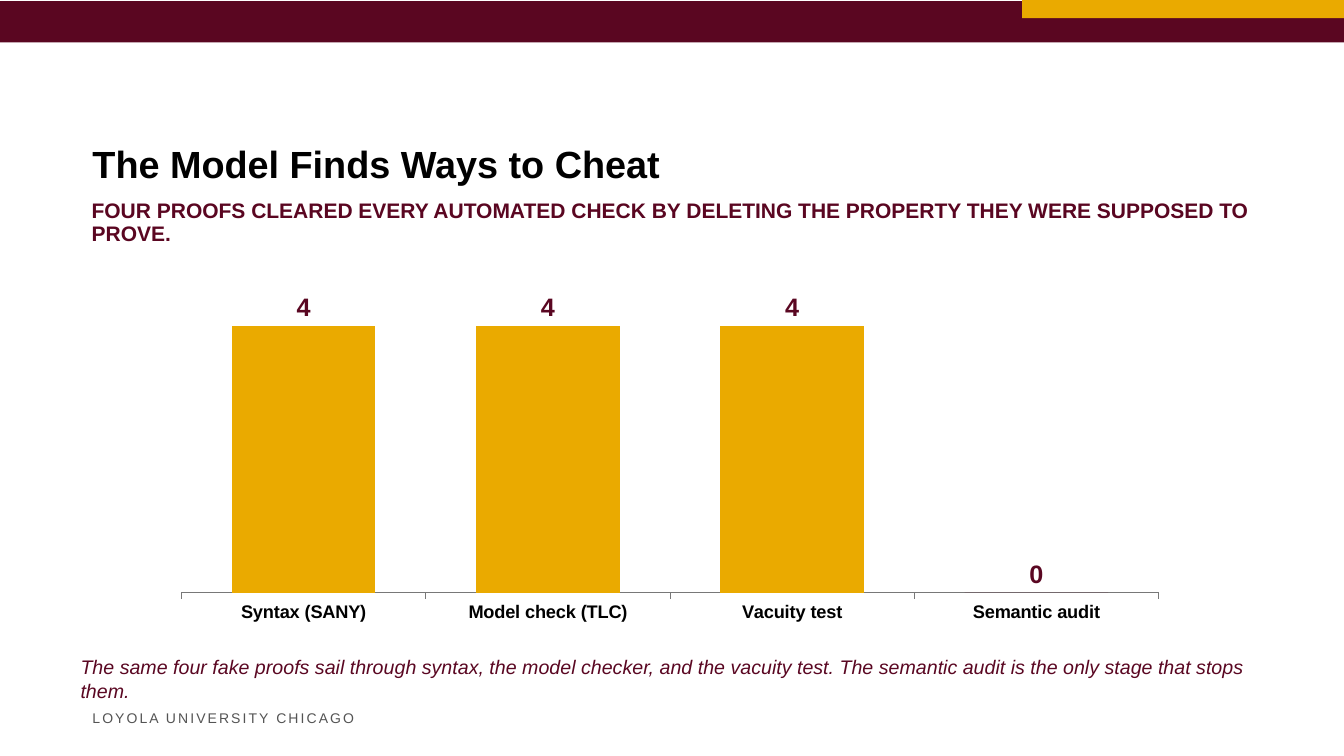
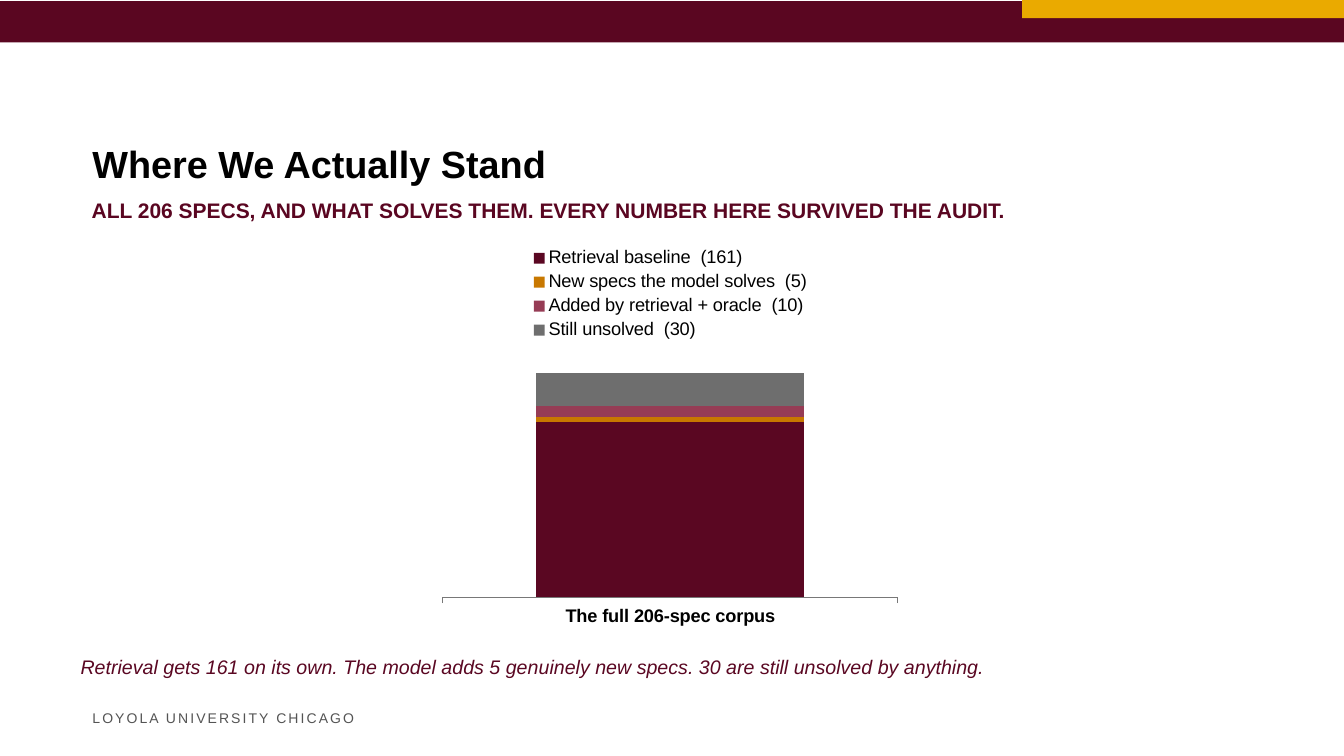
from pptx import Presentation
from pptx.chart.data import CategoryChartData
from pptx.dml.color import RGBColor
from pptx.enum.chart import (XL_CHART_TYPE, XL_LABEL_POSITION,
                             XL_LEGEND_POSITION, XL_TICK_MARK)
from pptx.enum.shapes import MSO_SHAPE
from pptx.enum.text import MSO_ANCHOR, MSO_AUTO_SIZE, PP_ALIGN
from pptx.util import Cm, Pt

FONT = "Arial"
COLORS = {
    "maroon": "5A0621",
    "wine": "5A0722",
    "gold": "EAAA00",
    "amber": "C87800",
    "rose": "963C55",
    "gray": "6E6E6E",
    "axis": "787878",
    "footer": "545454",
    "black": "000000",
}
SLIDE_WIDTH, SLIDE_HEIGHT = 33.87, 19.05

# Boxes are left, top, width, height in centimetres.
BAND_BOX = (0, 0.03, SLIDE_WIDTH, 1.04)
ACCENT_BOX = (25.76, 0, 8.11, 0.46)
TITLE_BOX = (2.33, 1.04, 29.33, 3.66)
SUBTITLE_BOX = (2.31, 5.05, 29.33, 0.61)
CAPTION_BOX = (1.78, 16.38, 30.23, 1.78)
FOOTER_BOX = (2.33, 17.93, 6.73, 0.38)
CHEAT_CHART_BOX = (4.06, 6.35, 25.65, 9.53)
CORPUS_CHART_BOX = (10.92, 5.97, 11.94, 10.03)


def rgb(color):
    return RGBColor.from_string(COLORS[color])


def to_cm(box):
    return [Cm(length) for length in box]


def style_font(font, size, color="black", bold=False, italic=False):
    font.name = FONT
    font.size = Pt(size)
    font.color.rgb = rgb(color)
    font.bold = bold
    font.italic = italic


def fill_solid(fill, color):
    fill.solid()
    fill.fore_color.rgb = rgb(color)


def write_text(frame, text, size, color, margins=True, line_spacing=None, **style):
    """Write one left-aligned paragraph and return it."""
    frame.word_wrap = True
    frame.auto_size = MSO_AUTO_SIZE.NONE
    if not margins:
        frame.margin_left = frame.margin_right = 0
        frame.margin_top = frame.margin_bottom = 0
    paragraph = frame.paragraphs[0]
    paragraph.text = text
    paragraph.alignment = PP_ALIGN.LEFT
    if line_spacing:
        paragraph.line_spacing = line_spacing
    style_font(paragraph.font, size, color, **style)
    return paragraph


def add_bar(slide, box, color):
    bar = slide.shapes.add_shape(MSO_SHAPE.RECTANGLE, *to_cm(box))
    bar.shadow.inherit = False
    fill_solid(bar.fill, color)
    bar.line.fill.background()


def add_text(slide, box, *args, **options):
    frame = slide.shapes.add_textbox(*to_cm(box)).text_frame
    return write_text(frame, *args, **options)


def place_title(slide, box, text):
    title = slide.shapes.title
    title.left, title.top, title.width, title.height = to_cm(box)
    title.text_frame.vertical_anchor = MSO_ANCHOR.BOTTOM
    write_text(title.text_frame, text, 27, "black", margins=False,
               line_spacing=0.9, bold=True)


def add_footer(slide, box):
    footer = add_text(slide, box, "LOYOLA UNIVERSITY CHICAGO", 10, "footer",
                      margins=False, line_spacing=0.9)
    footer.runs[0]._r.get_or_add_rPr().set("spc", "150")


def add_chart_slide(prs, title, subtitle, caption):
    """Add a slide with everything but its chart."""
    slide = prs.slides.add_slide(prs.slide_layouts[5])
    add_bar(slide, BAND_BOX, "maroon")
    add_bar(slide, ACCENT_BOX, "gold")
    add_footer(slide, FOOTER_BOX)
    place_title(slide, TITLE_BOX, title)
    add_text(slide, SUBTITLE_BOX, subtitle, 15, "maroon", margins=False,
             line_spacing=0.9, bold=True)
    add_text(slide, CAPTION_BOX, caption, 14, "wine", italic=True)
    return slide


def add_column_chart(slide, box, kind, categories, series):
    """Add a column chart; series holds (name, values, color) triples."""
    chart_data = CategoryChartData()
    chart_data.categories = categories
    for name, values, _ in series:
        chart_data.add_series(name, values)
    chart = slide.shapes.add_chart(kind, *to_cm(box), chart_data).chart
    style_font(chart.font, 18)
    chart.has_title = False
    chart.has_legend = False

    category_axis = chart.category_axis
    category_axis.has_major_gridlines = False
    category_axis.major_tick_mark = XL_TICK_MARK.OUTSIDE
    style_font(category_axis.tick_labels.font, 13, bold=True)
    category_axis.format.line.color.rgb = rgb("axis")
    category_axis.format.line.width = Pt(0.75)
    chart.value_axis.visible = False
    chart.value_axis.has_major_gridlines = False

    plot = chart.plots[0]
    plot.gap_width = 70
    plot.vary_by_categories = False
    for columns, (_, _, color) in zip(plot.series, series):
        fill_solid(columns.format.fill, color)
        columns.invert_if_negative = False
    return chart


def add_cheat_chart(slide, box):
    stages = ["Syntax (SANY)", "Model check (TLC)", "Vacuity test", "Semantic audit"]
    passed = [4, 4, 4, 0]
    chart = add_column_chart(slide, box, XL_CHART_TYPE.COLUMN_CLUSTERED, stages,
                             [("Series 1", passed, "maroon")])
    chart.value_axis.minimum_scale = 0
    chart.value_axis.maximum_scale = 5

    plot = chart.plots[0]
    for index, count in enumerate(passed):
        point = plot.series[0].points[index]
        fill_solid(point.format.fill, "gold" if count else "wine")
    labels = plot.series[0].data_labels
    labels.show_value = True
    labels.number_format = "0"
    labels.number_format_is_linked = False
    labels.position = XL_LABEL_POSITION.OUTSIDE_END
    style_font(labels.font, 18, "wine", bold=True)


def add_corpus_chart(slide, box):
    shares = [
        ("Retrieval baseline  (161)", [100], "wine"),
        ("New specs the model solves  (5)", [3], "amber"),
        ("Added by retrieval + oracle  (10)", [6], "rose"),
        ("Still unsolved  (30)", [19], "gray"),
    ]
    chart = add_column_chart(slide, box, XL_CHART_TYPE.COLUMN_STACKED,
                             ["The full 206-spec corpus"], shares)
    chart.plots[0].overlap = 100
    chart.has_legend = True
    chart.legend.position = XL_LEGEND_POSITION.TOP
    chart.legend.include_in_layout = False
    style_font(chart.legend.font, 13)


def main():
    prs = Presentation()
    prs.slide_width, prs.slide_height = Cm(SLIDE_WIDTH), Cm(SLIDE_HEIGHT)

    cheat_slide = add_chart_slide(
        prs,
        "The Model Finds Ways to Cheat",
        "FOUR PROOFS CLEARED EVERY AUTOMATED CHECK BY DELETING THE PROPERTY "
        "THEY WERE SUPPOSED TO PROVE.",
        "The same four fake proofs sail through syntax, the model checker, and "
        "the vacuity test. The semantic audit is the only stage that stops them.",
    )
    add_cheat_chart(cheat_slide, CHEAT_CHART_BOX)

    corpus_slide = add_chart_slide(
        prs,
        "Where We Actually Stand",
        "ALL 206 SPECS, AND WHAT SOLVES THEM. EVERY NUMBER HERE SURVIVED THE AUDIT.",
        "Retrieval gets 161 on its own. The model adds 5 genuinely new specs. "
        "30 are still unsolved by anything.",
    )
    add_corpus_chart(corpus_slide, CORPUS_CHART_BOX)

    prs.save("out.pptx")


if __name__ == "__main__":
    main()
